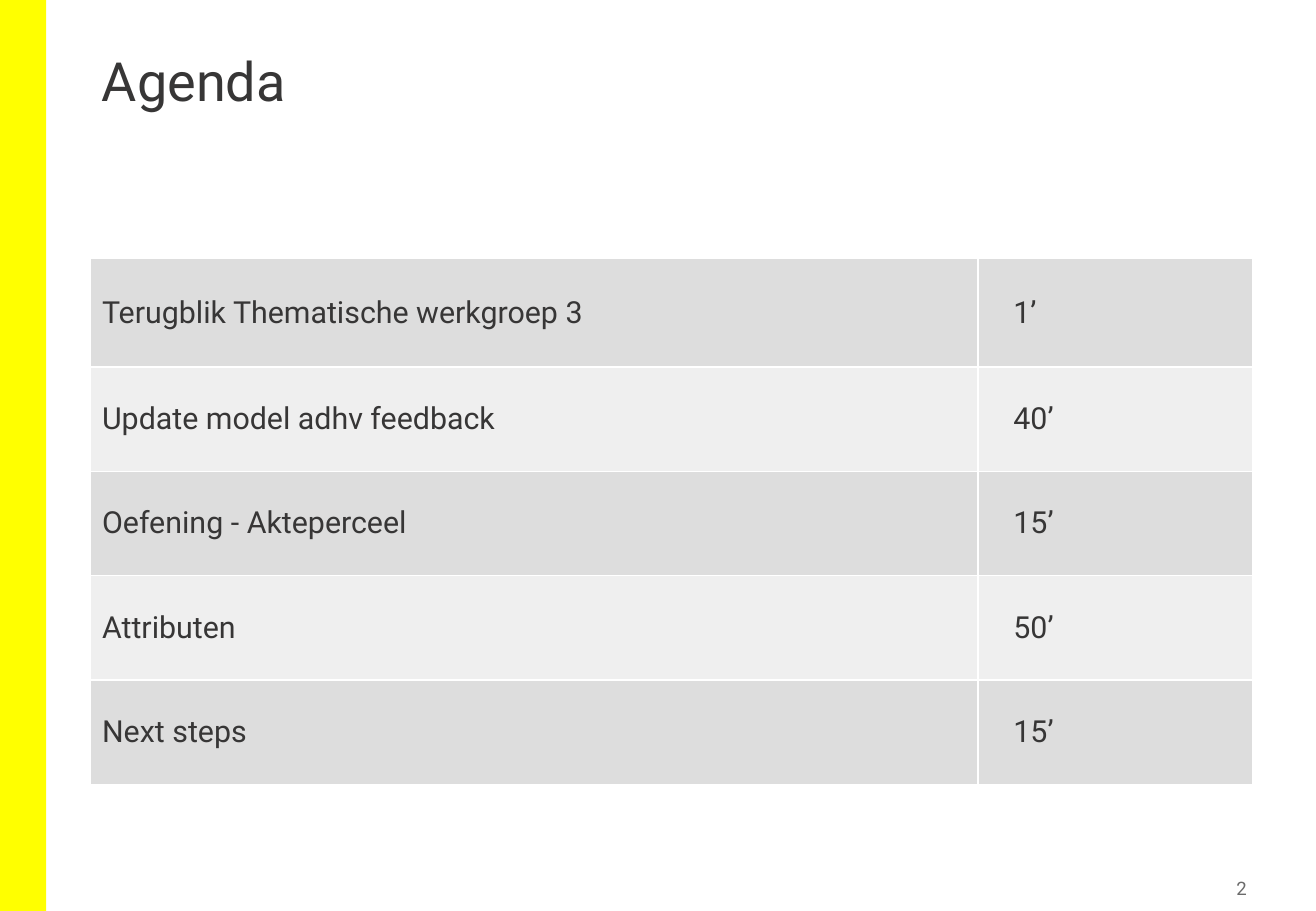
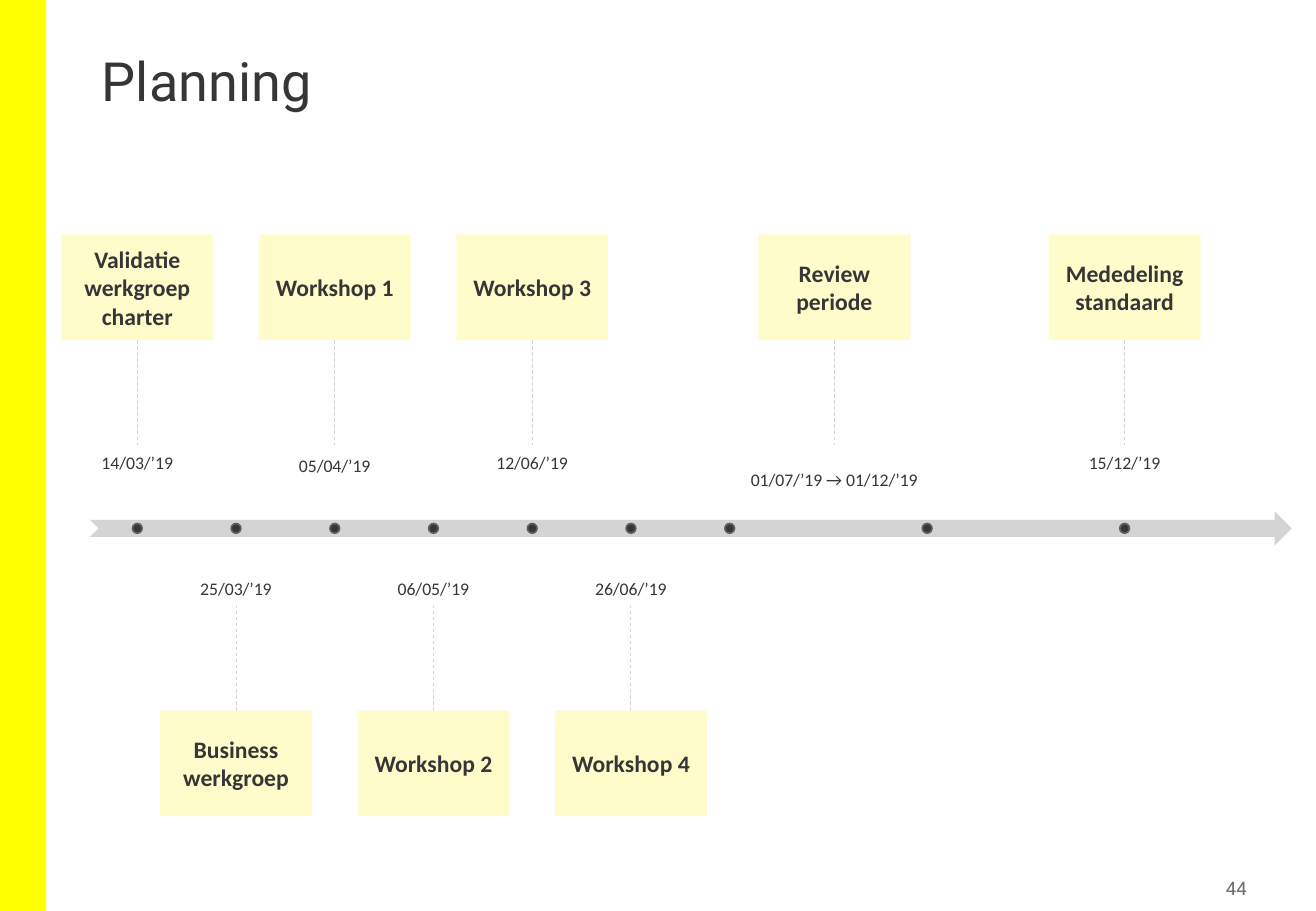
from lxml.etree import SubElement
from pptx import Presentation
from pptx.dml.color import RGBColor
from pptx.enum.dml import MSO_LINE
from pptx.enum.shapes import MSO_CONNECTOR, MSO_SHAPE
from pptx.enum.text import MSO_ANCHOR as Anchor, PP_ALIGN as Align
from pptx.oxml.ns import qn
from pptx.util import Inches, Pt

AGENDA = [
    ("Terugblik Thematische werkgroep 3", "1’"),
    ("Update model adhv feedback", "40’"),
    ("Oefening - Akteperceel", "15’"),
    ("Attributen", "50’"),
    ("Next steps", "15’"),
]
AGENDA_COLUMNS = (7.31, 2.26)
AGENDA_ROWS = (0.89, 0.86, 0.86, 0.86, 0.86)

# Timeline slots are equally spaced; a milestone is (slot, label, date, date bottom)
FIRST_SLOT, SLOT_GAP = 1.13, 0.81 + 0.01 / 4
DOT_SLOTS = (0, 1, 2, 3, 4, 5, 6, 8, 10)
MILESTONES_ABOVE = [
    (0, "Validatie werkgroep charter", "14/03/’19", 4),
    (2, "Workshop 1", "05/04/’19", 4.02),
    (4, "Workshop 3", "12/06/’19", 4),
    (7.06, "Review periode", "01/07/’19 → 01/12/’19", 4.14),
    (10, "Mededeling standaard", "15/12/’19", 4),
]
MILESTONES_BELOW = [
    (1, "Business werkgroep", "25/03/’19", 5.04),
    (3, "Workshop 2", "06/05/’19", 5.04),
    (5, "Workshop 4", "26/06/’19", 5.04),
]
BOX_W, BOX_H = 1.25, 0.87
DATE_W, DATE_H = 2, 0.36
STEM = 0.86

INK, GREY, BAND = "373636", "6B6B6B", "FFFF00"
ROW_FILLS = ("DDDDDD", "EFEFEF")
BOX_FILL, ARROW_FILL, STEM_LINE, DOT_LINE = "FFFCCC", "D4D4D4", "D5D5D5", "616161"
HEADING_FONT, LABEL_FONT = "Roboto", "Calibri"


def color(hex_code):
    return RGBColor.from_string(hex_code)


def write(frame, text, size, font, ink=INK, align=Align.LEFT, bold=False, spacing=None):
    frame.text = text
    paragraph = frame.paragraphs[0]
    paragraph.alignment = align
    paragraph.line_spacing = spacing
    style = paragraph.runs[0].font
    style.size, style.name, style.bold = Pt(size), font, bold
    style.color.rgb = color(ink)


def add_text(slide, place, text, size, font, anchor=Anchor.TOP, **style):
    frame = slide.shapes.add_textbox(*map(Inches, place)).text_frame
    frame.word_wrap = True
    frame.vertical_anchor = anchor
    write(frame, text, size, font, **style)
    return frame


def add_block(slide, kind, place, fill, outline=None):
    block = slide.shapes.add_shape(kind, *map(Inches, place))
    block.shadow.inherit = False
    block.fill.solid()
    block.fill.fore_color.rgb = color(fill)
    if outline:
        block.line.color.rgb = color(outline)
        block.line.width = Pt(1)
    else:
        block.line.fill.background()
    return block


def add_page(deck, title, number):
    """Add a slide with the yellow band, the title and the page number."""
    slide = deck.slides.add_slide(deck.slide_layouts[6])
    add_block(slide, MSO_SHAPE.RECTANGLE, (0, 0, 0.38, 7.5), BAND)
    add_text(slide, (0.74, 0.4, 9.34, 1.08), title, 32, HEADING_FONT, spacing=0.9)
    footer = add_text(slide, (9.5, 7.17, 0.81, 0.29), number, 11, HEADING_FONT,
                      Anchor.MIDDLE, ink=GREY, align=Align.RIGHT)
    footer.margin_left = footer.margin_right = Inches(0.05)
    return slide


def set_borders(cell, hex_code):
    properties = cell._tc.get_or_add_tcPr()
    for position, side in enumerate(("lnL", "lnR", "lnT", "lnB")):
        border = SubElement(properties, qn(f"a:{side}"), w=str(Pt(1)))
        fill = SubElement(border, qn("a:solidFill"))
        SubElement(fill, qn("a:srgbClr"), val=hex_code)
        properties.insert(position, border)


def add_agenda(slide):
    place = (0.74, 2.13, sum(AGENDA_COLUMNS), sum(AGENDA_ROWS))
    table = slide.shapes.add_table(
        len(AGENDA), len(AGENDA_COLUMNS), *map(Inches, place)).table
    table.first_row = table.horz_banding = False
    for column, width in zip(table.columns, AGENDA_COLUMNS):
        column.width = Inches(width)
    for r, (entry, height) in enumerate(zip(AGENDA, AGENDA_ROWS)):
        table.rows[r].height = Inches(height)
        for c, text in enumerate(entry):
            cell = table.cell(r, c)
            cell.fill.solid()
            cell.fill.fore_color.rgb = color(ROW_FILLS[r % 2])
            cell.vertical_anchor = Anchor.MIDDLE
            cell.margin_left = Inches((0.1, 0.29)[c])
            write(cell.text_frame, text, 18, HEADING_FONT)
            set_borders(cell, "FFFFFF")


def slot_center(slot):
    return FIRST_SLOT + slot * SLOT_GAP


def add_milestone(slide, milestone, box_top, above):
    """Add a label box, its date and the dashed stem from the box to the date."""
    slot, label, date, date_bottom = milestone
    x = slot_center(slot)
    box = add_block(slide, MSO_SHAPE.RECTANGLE,
                    (x - BOX_W / 2, box_top, BOX_W, BOX_H), BOX_FILL)
    box.text_frame.word_wrap = True
    box.text_frame.vertical_anchor = Anchor.MIDDLE
    write(box.text_frame, label, 14, LABEL_FONT, align=Align.CENTER, bold=True)

    date_place = (x - DATE_W / 2, date_bottom - DATE_H, DATE_W, DATE_H)
    add_text(slide, date_place, date, 10.5, LABEL_FONT, Anchor.MIDDLE,
             align=Align.CENTER, spacing=0.9)

    start, end, side = ((box_top + BOX_H, box_top + BOX_H + STEM, 2) if above
                        else (box_top, box_top - STEM, 0))
    stem = slide.shapes.add_connector(
        MSO_CONNECTOR.STRAIGHT, Inches(x), Inches(start), Inches(x), Inches(end))
    stem.begin_connect(box, side)
    stem.line.color.rgb = color(STEM_LINE)
    stem.line.width = Pt(0.5)
    stem.line.dash_style = MSO_LINE.DASH
    SubElement(stem._element.spPr, qn("a:effectLst"))


def add_timeline(slide):
    add_block(slide, MSO_SHAPE.NOTCHED_RIGHT_ARROW, (0.74, 4.21, 9.89, 0.28), ARROW_FILL)
    for slot in DOT_SLOTS:
        add_block(slide, MSO_SHAPE.OVAL,
                  (slot_center(slot) - 0.04, 4.31, 0.08, 0.08), INK, DOT_LINE)
    for milestone in MILESTONES_ABOVE:
        add_milestone(slide, milestone, 1.93, above=True)
    for milestone in MILESTONES_BELOW:
        add_milestone(slide, milestone, 5.85, above=False)


def main():
    deck = Presentation()
    deck.slide_width, deck.slide_height = Inches(10.83), Inches(7.5)
    add_agenda(add_page(deck, "Agenda", "2"))
    add_timeline(add_page(deck, "Planning", "44"))
    deck.save("out.pptx")


if __name__ == "__main__":
    main()
